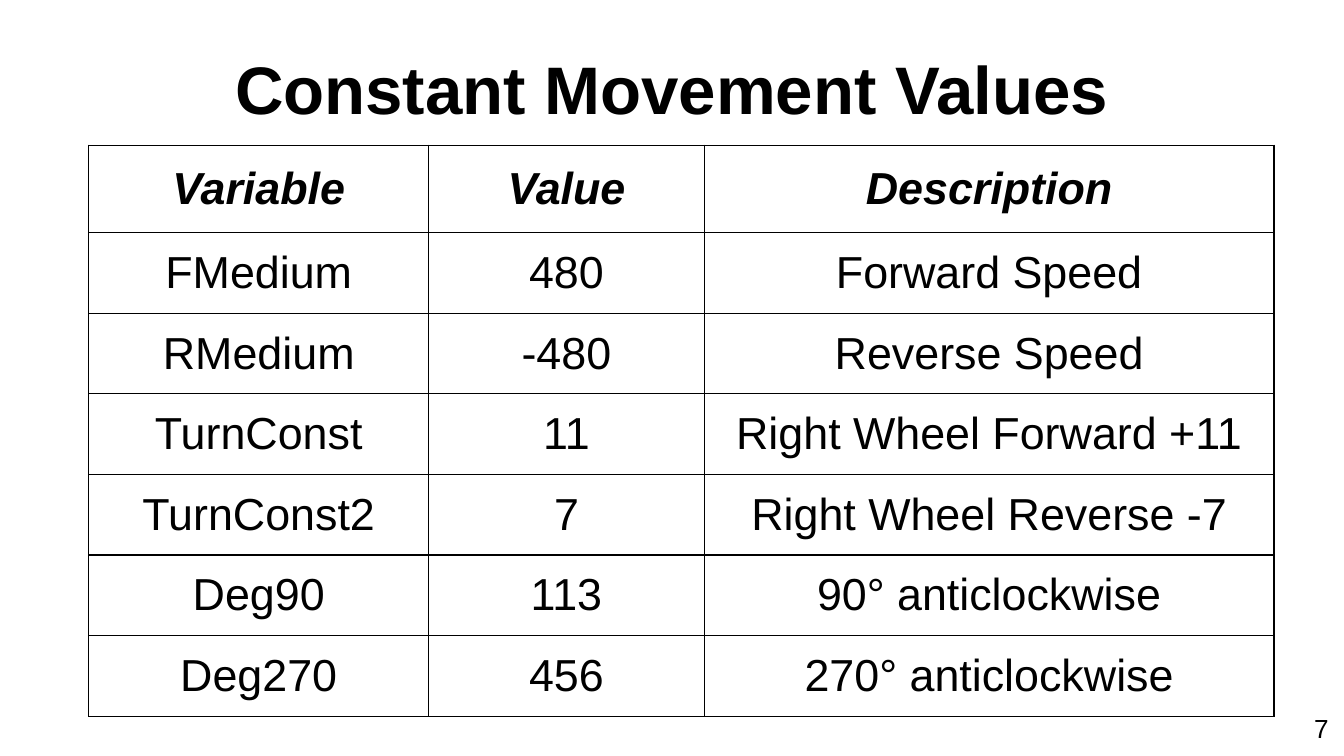
from lxml import etree
from pptx import Presentation
from pptx.dml.color import RGBColor
from pptx.enum.text import MSO_ANCHOR, PP_ALIGN
from pptx.oxml.ns import qn
from pptx.util import Inches, Pt

CENTER, LEFT = PP_ALIGN.CENTER, PP_ALIGN.LEFT
TOP, MIDDLE, BOTTOM = MSO_ANCHOR.TOP, MSO_ANCHOR.MIDDLE, MSO_ANCHOR.BOTTOM

# Content
TITLE = "Constant Movement Values"
PAGE_NUMBER = "7"
CONSTANTS = [
    ("Variable", "Value", "Description"),
    ("FMedium", "480", "Forward Speed"),
    ("RMedium", "-480", "Reverse Speed"),
    ("TurnConst", "11", "Right Wheel Forward +11"),
    ("TurnConst2", "7", "Right Wheel Reverse -7"),
    ("Deg90", "113", "90° anticlockwise"),
    ("Deg270", "456", "270° anticlockwise"),
]

# Style and measures
SLIDE_WIDTH = 10
SLIDE_HEIGHT = SLIDE_WIDTH * 9 / 16
FONT = "Arial"
BLACK = "000000"
BORDER_WIDTH = 0.75
INSET = 0.1
COLUMN_WIDTHS = (2.53, 2.05, 4.24)
HEADER_HEIGHT, ROW_HEIGHT = 0.65, 0.6


def color(value):
    return RGBColor.from_string(value)


def write(paragraph, text, size, align, bold=False, italic=False):
    paragraph.alignment = align
    run = paragraph.add_run()
    run.text = text
    run.font.name = FONT
    run.font.size = Pt(size)
    run.font.bold = bold
    run.font.italic = italic
    run.font.color.rgb = color(BLACK)


def set_insets(area, inset):
    area.margin_left = area.margin_right = Inches(inset)
    area.margin_top = area.margin_bottom = Inches(inset)


def add_text(slide, box, text, size, align, anchor, bold=False):
    frame = slide.shapes.add_textbox(*map(Inches, box)).text_frame
    frame.word_wrap = True
    frame.vertical_anchor = anchor
    set_insets(frame, INSET)
    write(frame.paragraphs[0], text, size, align, bold)


def add_borders(cell):
    properties = cell._tc.get_or_add_tcPr()
    for side in ("a:lnL", "a:lnR", "a:lnT", "a:lnB"):
        line = etree.SubElement(properties, qn(side), w=str(Pt(BORDER_WIDTH)))
        fill = etree.SubElement(line, qn("a:solidFill"))
        etree.SubElement(fill, qn("a:srgbClr"), val=BLACK)


def add_constants_table(slide, left, top):
    heights = [HEADER_HEIGHT] + [ROW_HEIGHT] * (len(CONSTANTS) - 1)
    table = slide.shapes.add_table(
        len(heights), len(COLUMN_WIDTHS), Inches(left), Inches(top),
        Inches(sum(COLUMN_WIDTHS)), Inches(sum(heights))).table
    table.first_row = table.horz_banding = False
    for column, width in zip(table.columns, COLUMN_WIDTHS):
        column.width = Inches(width)
    for r, (values, height) in enumerate(zip(CONSTANTS, heights)):
        table.rows[r].height = Inches(height)
        header = r == 0
        for c, value in enumerate(values):
            cell = table.cell(r, c)
            cell.vertical_anchor = MIDDLE
            set_insets(cell, INSET if header else 0)
            add_borders(cell)
            cell.fill.background()
            write(cell.text_frame.paragraphs[0], value, 24, CENTER, header, header)


def main():
    deck = Presentation()
    deck.slide_width, deck.slide_height = Inches(SLIDE_WIDTH), Inches(SLIDE_HEIGHT)
    slide = deck.slides.add_slide(deck.slide_layouts[6])

    # Table, title and page number
    add_constants_table(slide, 0.66, 1.08)
    add_text(slide, (0.5, 0.11, 9, 0.94), TITLE, 36, CENTER, BOTTOM, bold=True)
    add_text(slide, (9.68, 5.2, 0.32, 0.43), PAGE_NUMBER, 14, LEFT, TOP)

    deck.save("out.pptx")


if __name__ == "__main__":
    main()
